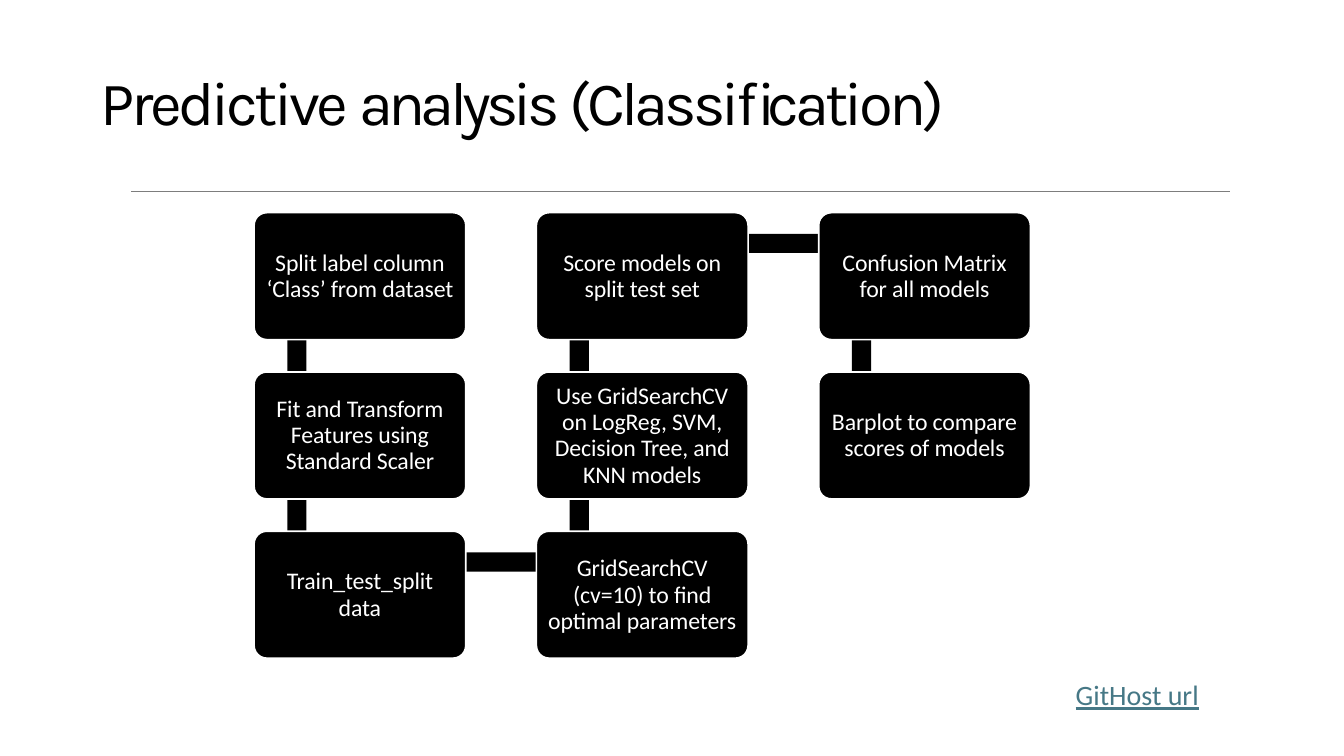
from pptx import Presentation
from pptx.dml.color import RGBColor
from pptx.enum.shapes import MSO_CONNECTOR, MSO_SHAPE
from pptx.enum.text import MSO_ANCHOR, PP_ALIGN
from pptx.util import Inches, Pt
from lxml.etree import SubElement
from pptx.oxml.ns import qn

BLACK = "000000"
WHITE = "FFFFFF"
GRID_LEFT, GRID_TOP = 2.52, 2.11
COLUMN_STEP, ROW_STEP = 2.8, 1.58
BOX_WIDTH, BOX_HEIGHT = 2.1, 1.26
BAR = 0.19

STEPS = [
    (0, 0, ["Split label column", "‘Class’ from dataset"]),
    (0, 1, ["Fit and Transform", "Features using", "Standard Scaler"]),
    (0, 2, ["Train_test_split", "data"]),
    (1, 2, ["GridSearchCV", "(cv=10) to find", "optimal parameters"]),
    (1, 1, ["Use GridSearchCV", "on LogReg, SVM,", "Decision Tree, and", "KNN models"]),
    (1, 0, ["Score models on", "split test set"]),
    (2, 0, ["Confusion Matrix", "for all models"]),
    (2, 1, ["Barplot to compare", "scores of models"]),
]


def colour(value):
    return RGBColor.from_string(value)


def cell_corner(column, row):
    return GRID_LEFT + column * COLUMN_STEP, GRID_TOP + row * ROW_STEP


def place(shape, left, top, width, height):
    shape.left, shape.top = Inches(left), Inches(top)
    shape.width, shape.height = Inches(width), Inches(height)


def prepare_frame(shape, anchor, wrap):
    frame = shape.text_frame
    frame.margin_left = frame.margin_right = 0
    frame.margin_top = frame.margin_bottom = 0
    frame.vertical_anchor = anchor
    frame.word_wrap = wrap
    return frame


def add_run(paragraph, text, font_name, size, hex_colour, spacing=0):
    run = paragraph.add_run()
    run.text = text
    run.font.name = font_name
    run.font.size = Pt(size)
    run.font.color.rgb = colour(hex_colour)
    run._r.get_or_add_rPr().set("spc", str(round(spacing * 100)))
    return run


def add_block(slide, preset, left, top, width, height):
    shape = slide.shapes.add_shape(
        preset, Inches(left), Inches(top), Inches(width), Inches(height))
    shape.shadow.inherit = False
    shape.fill.solid()
    shape.fill.fore_color.rgb = colour(BLACK)
    shape.line.fill.background()
    return shape


def add_title(slide):
    title = slide.shapes.title
    place(title, 1, 0.59, 8.66, 0.83)
    paragraph = prepare_frame(title, MSO_ANCHOR.MIDDLE, True).paragraphs[0]
    paragraph.alignment = PP_ALIGN.LEFT
    for text, spacing in [("Predictive ", -2.5), ("analysis ", -3.5), ("(Classification)", -2.8)]:
        add_run(paragraph, text, "Karla", 44, BLACK, spacing)


def add_rule(slide):
    rule = slide.shapes.add_connector(
        MSO_CONNECTOR.STRAIGHT, Inches(1.3), Inches(1.9), Inches(12.2), Inches(1.9))
    rule.line.color.rgb = colour("7D7D7D")
    rule.line.width = Pt(0.48)
    SubElement(rule._element.spPr, qn("a:effectLst"))


def add_link_label(slide):
    label = slide.shapes.add_textbox(Inches(8.54), Inches(6.72), Inches(3.35), Inches(0.35))
    paragraph = prepare_frame(label, MSO_ANCHOR.TOP, True).paragraphs[0]
    paragraph.alignment = PP_ALIGN.RIGHT
    add_run(paragraph, "GitHost url", "Calibri", 20, "467886").font.underline = True


def add_bar(slide, start, end):
    left, top = cell_corner(min(start[0], end[0]), min(start[1], end[1]))
    if start[0] == end[0]:
        add_block(slide, MSO_SHAPE.RECTANGLE, left + 0.33, top + 0.32, BAR, ROW_STEP)
    else:
        add_block(slide, MSO_SHAPE.RECTANGLE, left + 0.43, top + 0.21, COLUMN_STEP, BAR)


def add_step(slide, column, row, lines):
    box = add_block(slide, MSO_SHAPE.ROUNDED_RECTANGLE,
                    *cell_corner(column, row), BOX_WIDTH, BOX_HEIGHT)
    box.adjustments[0] = 0.1
    box.line.color.rgb = colour(WHITE)
    box.line.width = Pt(1.2)
    frame = prepare_frame(box, MSO_ANCHOR.MIDDLE, False)
    for index, line in enumerate(lines):
        paragraph = frame.add_paragraph() if index else frame.paragraphs[0]
        paragraph.alignment = PP_ALIGN.CENTER
        paragraph.line_spacing = Pt(18.7)
        add_run(paragraph, line, "Calibri", 17, WHITE, -0.1)


def main():
    presentation = Presentation()
    presentation.slide_width = Inches(13.33)
    presentation.slide_height = Inches(7.5)
    slide = presentation.slides.add_slide(presentation.slide_layouts[5])
    add_title(slide)
    add_rule(slide)
    for start, end in zip(STEPS, STEPS[1:]):
        add_bar(slide, start, end)
    for column, row, lines in STEPS:
        add_step(slide, column, row, lines)
    add_link_label(slide)
    presentation.save("out.pptx")


if __name__ == "__main__":
    main()
